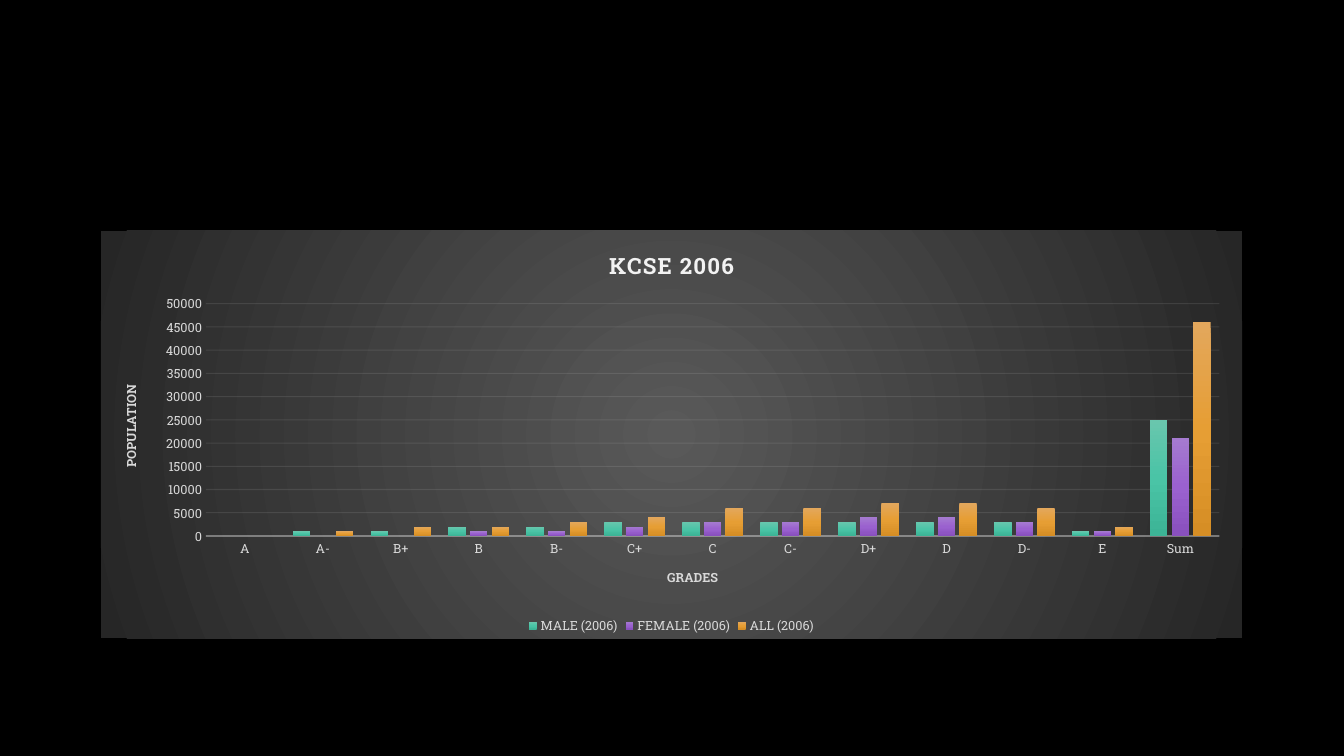
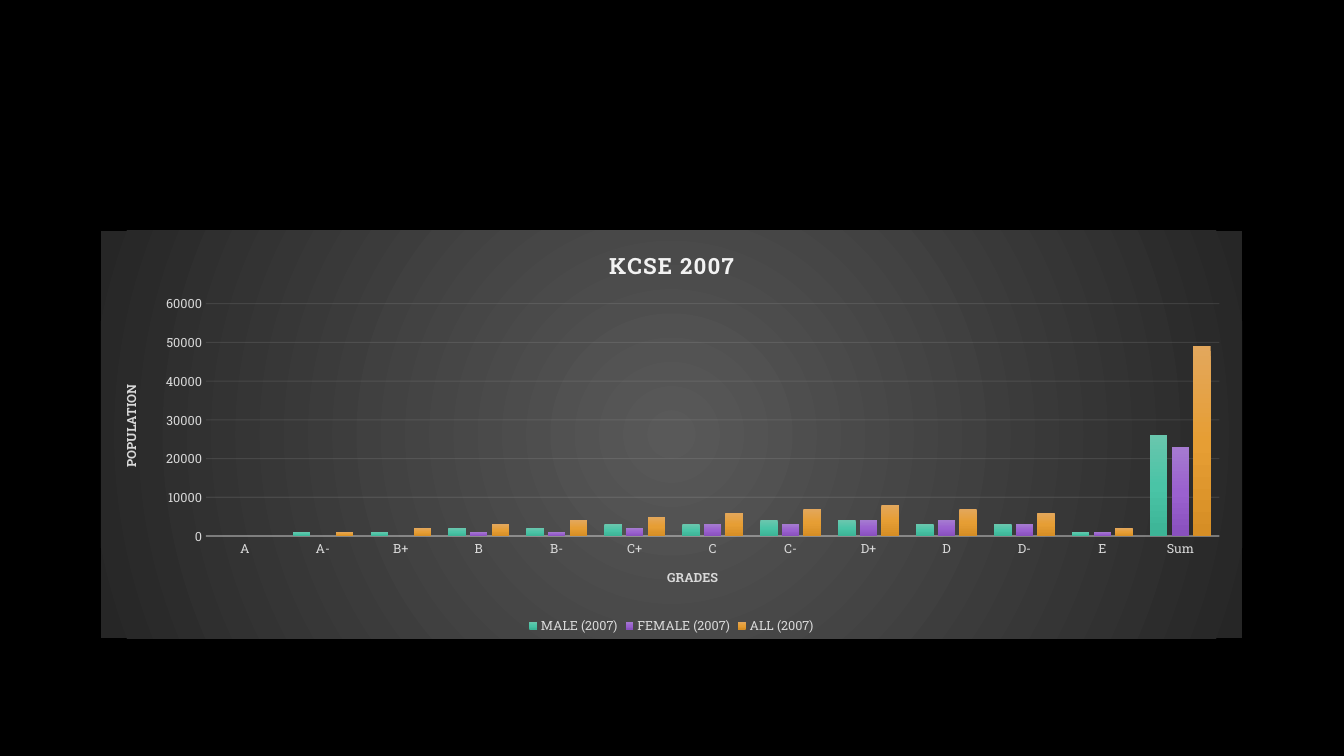
"""Two slides of KCSE grade charts, one per year."""
from pptx import Presentation
from pptx import util as u
from pptx.chart.data import CategoryChartData
from pptx.dml.color import RGBColor
from pptx.enum import chart as c
from pptx.oxml import parse_xml
from pptx.oxml.ns import nsdecls

THEME = {
    "font": "Roboto Slab", "title_pt": 16, "body_pt": 10, "label_pt": 9,
    "back": "000000", "base": "FFFFFF", "bright": "F2F2F2", "label": "D9D9D9",
    "panel": ["595959", "262626"],
    "bars": {"MALE": ["69C6AD", "4AC4A6", "3CB496"],
             "FEMALE": ["A57AD0", "9A61CF", "8950BE"],
             "ALL": ["E3A75C", "E69E34", "D68E25"]},
}
GRADES = ["A", "A-", "B+", "B", "B-", "C+", "C", "C-", "D+", "D", "D-", "E", "Sum"]
THOUSANDS = {
    2006: {"MALE": [0, 1, 1, 2, 2, 3, 3, 3, 3, 3, 3, 1, 25],
           "FEMALE": [0, 0, 0, 1, 1, 2, 3, 3, 4, 4, 3, 1, 21],
           "ALL": [0, 1, 2, 2, 3, 4, 6, 6, 7, 7, 6, 2, 46]},
    2007: {"MALE": [0, 1, 1, 2, 2, 3, 3, 4, 4, 3, 3, 1, 26],
           "FEMALE": [0, 0, 0, 1, 1, 2, 3, 3, 4, 4, 3, 1, 23],
           "ALL": [0, 1, 2, 3, 4, 5, 6, 7, 8, 7, 6, 2, 49]},
}
SCALE = {2006: (50000, 5000), 2007: (60000, 10000)}


def style(font, size, color, bold=False):
    """Set the theme font with a size, colour and weight."""
    font.name, font.size, font.bold = THEME["font"], u.Pt(size), bold
    font.color.rgb = RGBColor.from_string(color)


def gradient(colors, direction):
    """Return a gradient fill with evenly spaced stops."""
    stops = "".join(
        f'<a:gs pos="{100000 * i // (len(colors) - 1)}"><a:srgbClr val="{color}"/></a:gs>'
        for i, color in enumerate(colors))
    return f'<a:gradFill {nsdecls("a")}><a:gsLst>{stops}</a:gsLst>{direction}</a:gradFill>'


prs = Presentation()
prs.slide_width, prs.slide_height = u.Inches(13.33), u.Inches(7.5)
area = [u.Inches(n) for n in (1, 2.29, 11.32, 4.04)]
radial = ('<a:path path="circle"><a:fillToRect l="50000" t="50000" '
          'r="50000" b="50000"/></a:path>')
linear = '<a:lin ang="5400000" scaled="0"/>'

for year, groups in THOUSANDS.items():
    s = prs.slides.add_slide(prs.slide_layouts[6])
    s.background.fill.solid()
    s.background.fill.fore_color.rgb = RGBColor.from_string(THEME["back"])

    data = CategoryChartData()
    data.categories = GRADES
    for group, values in groups.items():
        data.add_series(f"{group} ({year})", [v * 1000 for v in values])
    chart = s.shapes.add_chart(c.XL_CHART_TYPE.COLUMN_CLUSTERED, *area, data).chart
    style(chart.font, THEME["body_pt"], THEME["base"])

    chart.has_title = True
    chart.chart_title.include_in_layout = False
    r = chart.chart_title.text_frame.paragraphs[0].add_run()
    r.text = f"KCSE {year}"
    style(r.font, THEME["title_pt"], THEME["bright"], bold=True)
    chart.element.xpath("./c:chart/c:title//a:r/a:rPr")[0].set("spc", "100")

    chart.has_legend = True
    chart.legend.position = c.XL_LEGEND_POSITION.BOTTOM
    chart.legend.include_in_layout = False
    style(chart.legend.font, THEME["label_pt"], THEME["label"])

    plot = chart.plots[0]
    plot.gap_width, plot.overlap, plot.vary_by_categories = 100, -24, False
    for ser, colors in zip(chart.element.xpath(".//c:ser"), THEME["bars"].values()):
        ser.get_or_add_spPr().append(parse_xml(gradient(colors, linear)))

    grades, population = chart.category_axis, chart.value_axis
    for axis, name in ((grades, "GRADES"), (population, "POPULATION")):
        axis.major_tick_mark = axis.minor_tick_mark = c.XL_TICK_MARK.NONE
        style(axis.tick_labels.font, THEME["label_pt"], THEME["label"])
        r = axis.axis_title.text_frame.paragraphs[0].add_run()
        r.text = name
        style(r.font, THEME["label_pt"], THEME["label"], bold=True)
    population.minimum_scale = 0
    population.maximum_scale, population.major_unit = SCALE[year]
    population.format.line.fill.background()

    for line, width, opacity, parent in (
            (grades.format.line, 1, 54, "c:catAx"),
            (population.major_gridlines.format.line, 0.75, 10, "c:majorGridlines")):
        line.width = u.Pt(width)
        line.color.rgb = RGBColor.from_string(THEME["bright"])
        color = chart.element.xpath(f".//{parent}/c:spPr/a:ln//a:srgbClr")[0]
        color.append(parse_xml(f'<a:alpha {nsdecls("a")} val="{opacity * 1000}"/>'))

    panel = parse_xml(f'<c:spPr {nsdecls("c", "a")}>{gradient(THEME["panel"], radial)}'
                      '<a:ln><a:noFill/></a:ln></c:spPr>')
    chart.element.xpath("./c:chart")[0].addnext(panel)

prs.save("out.pptx")
